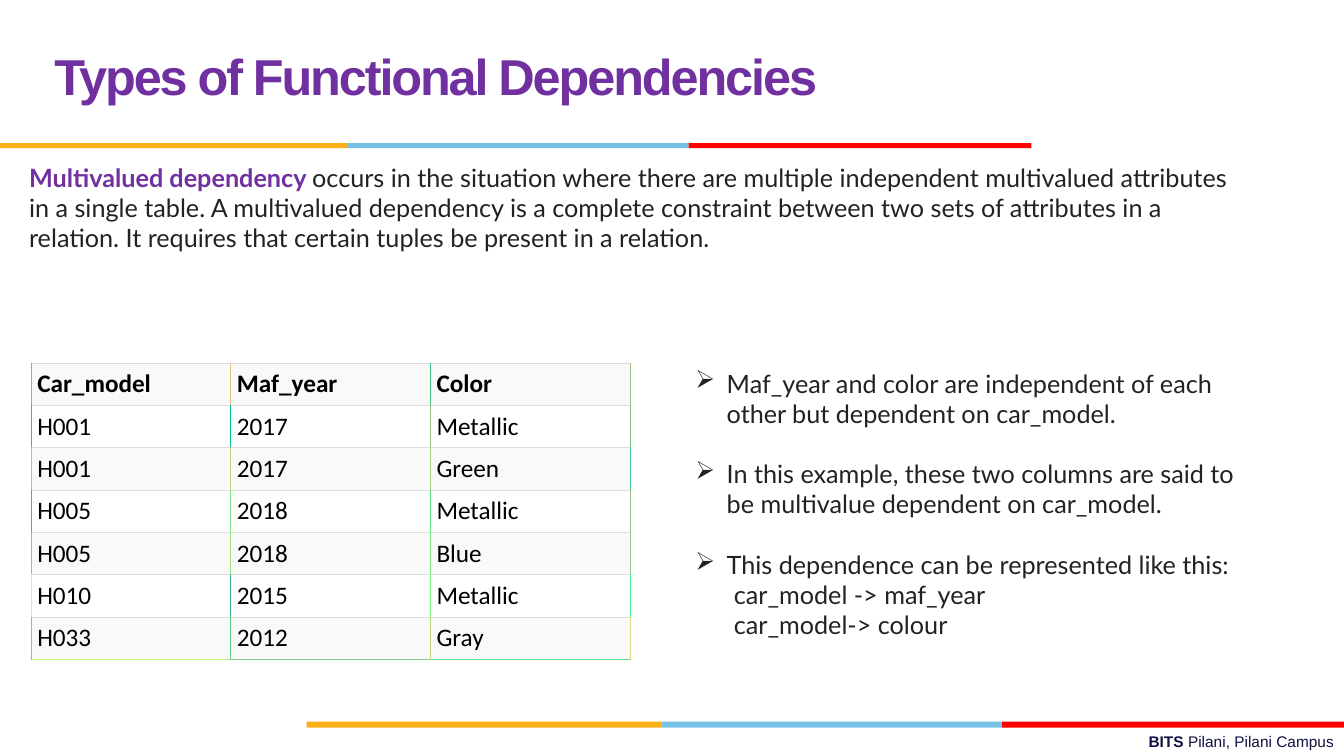
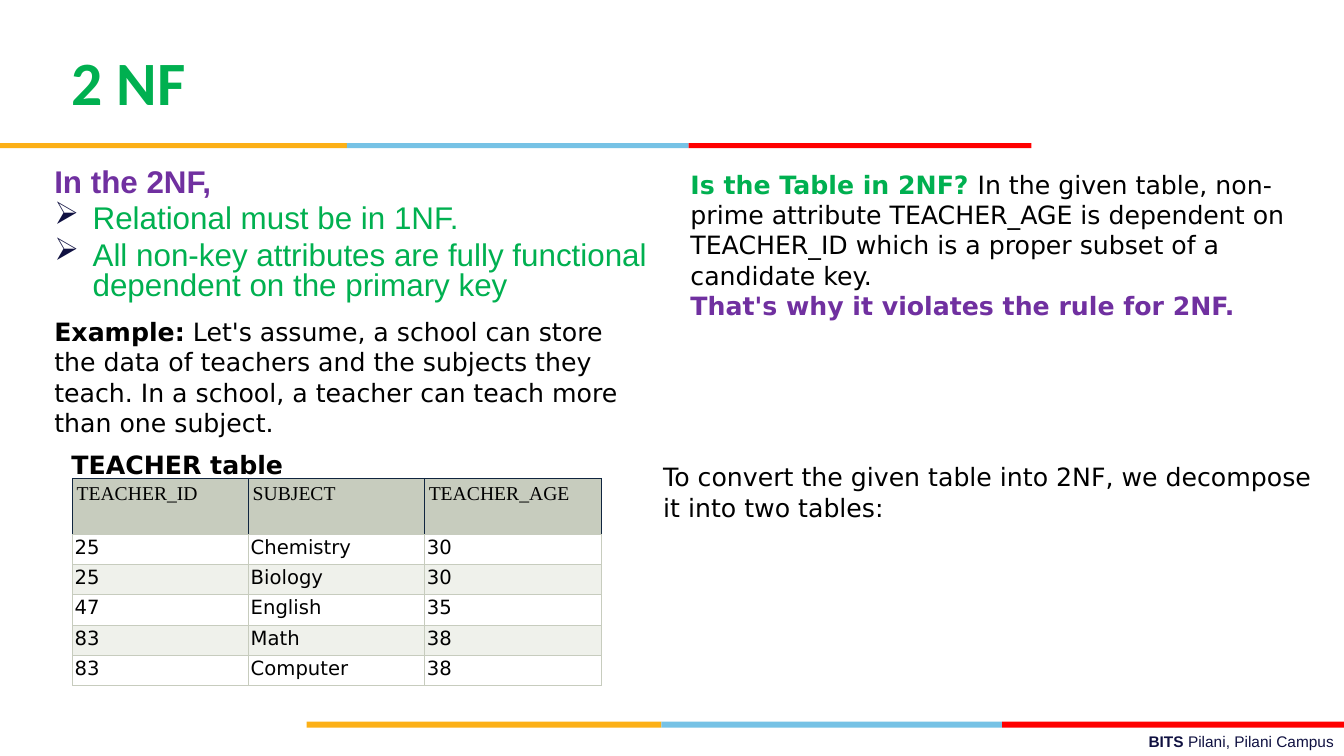
from lxml import etree
from pptx import Presentation
from pptx import util as u
from pptx.dml.color import RGBColor
from pptx.enum import shapes, text
from pptx.oxml import ns

COLORS = {
    "gold": "FCB017", "sky": "76C2E5", "red": "FF0000", "navy": "101141",
    "purple": "7030A0", "green": "00B050", "black": "000000", "ink": "222222",
    "white": "FFFFFF", "pale": "F9F9F9", "rule": "DDDDDD",
    "sage": "C7CCBE", "mist": "EFF1EB", "edge": "10253F",
}
BANDS = ("gold", "sky", "red")

CARS = [
    ("Car_model", "Maf_year", "Color"),
    ("H001", "2017", "Metallic"),
    ("H001", "2017", "Green"),
    ("H005", "2018", "Metallic"),
    ("H005", "2018", "Blue"),
    ("H010", "2015", "Metallic"),
    ("H033", "2012", "Gray"),
]
CAR_VERTICALS = [
    ("80BE86", "E0C486", "40C886", "A0C086"),
    ("20CA86", "00C786", "A0C786", "80C086"),
    ("A0D186", "C0D286", "A0D886", "40C286"),
    ("00D886", "80E586", "60E486", "A0C086"),
    ("40EE86", "A0E986", "80EC86", "A0C786"),
    ("E0F286", "40B386", "80FB86", "40FE86"),
    ("20FE86", "60CE86", "C0D886", "E0D986"),
]
CAR_BOTTOMS = ("C0F986", "80CA86", "60DD86")

TEACHERS = [
    ("TEACHER_ID", "SUBJECT", "TEACHER_AGE"),
    ("25", "Chemistry", "30"),
    ("25", "Biology", "30"),
    ("47", "English", "35"),
    ("83", "Math", "38"),
    ("83", "Computer", "38"),
]


def hex_of(color):
    return COLORS.get(color, color)


def rgb(color):
    return RGBColor.from_string(hex_of(color))


def add_text(p, value, font="Lato", size=18, color="black", bold=False, tracking=None):
    r = p.add_run()
    r.text = value
    r.font.name = font
    r.font.size = u.Pt(size)
    r.font.bold = bold
    r.font.color.rgb = rgb(color)
    if tracking is not None:
        r.font._element.set("spc", str(int(tracking * 100)))
    return r


def sub(parent, tag, **attrs):
    return etree.SubElement(parent, ns.qn(tag), **attrs)


def car_look(row, col):
    sides = CAR_VERTICALS[row]
    last = row == len(CARS) - 1
    return dict(
        fill="white" if row % 2 else "pale",
        inset=0.06,
        fmt=dict(font="Calibri", bold=row == 0),
        borders=dict(
            L=(sides[col], 1),
            R=(sides[col + 1], 1),
            T=("rule", 0.5),
            B=(CAR_BOTTOMS[col], 1) if last else ("rule", 0.5),
        ),
    )


def teacher_look(row, col):
    header = row == 0
    borders = {side: ("edge" if header else "sage", 0.5) for side in "LRT"}
    if row == 1:
        borders["T"] = ("sage", 0.5)
    return dict(
        fill="sage" if header else "white" if row % 2 else "mist",
        inset=0.04 if header else 0.02,
        fmt=dict(font="Times New Roman" if header else "DejaVu Sans", size=14),
        borders=dict(borders, B=("sage", 0.5)),
    )


class Deck:
    def __init__(self):
        self.prs = Presentation()
        self.prs.slide_width = u.Inches(13.33)
        self.prs.slide_height = u.Inches(7.5)
        self.s = None

    def slide(self):
        self.s = self.prs.slides.add_slide(self.prs.slide_layouts[6])
        self.text((4.78, 7.21, 8.55, 0.29), [
            dict(align=text.PP_ALIGN.RIGHT, runs=[
                ("BITS ", dict(font="Arial", size=11, color="navy", bold=True)),
                ("Pilani, Pilani Campus", dict(font="Arial", size=11, color="navy")),
            ]),
        ])
        self.bands(1.42, 0.05, (0, 3.44, 6.83, 10.23))
        self.bands(7.16, 0.06, (3.04, 6.56, 9.94, 13.33))

    def bands(self, top, height, stops):
        for color, left, right in zip(BANDS, stops, stops[1:]):
            sp = self.s.shapes.add_shape(
                shapes.MSO_SHAPE.RECTANGLE, u.Inches(left), u.Inches(top),
                u.Inches(right - left), u.Inches(height))
            sp.shadow.inherit = False
            sp.fill.solid()
            sp.fill.fore_color.rgb = rgb(color)
            sp.line.fill.background()

    def text(self, at, paragraphs, anchor=text.MSO_ANCHOR.TOP, wrap=True):
        sp = self.s.shapes.add_textbox(*map(u.Inches, at))
        tf = sp.text_frame
        tf.word_wrap = wrap
        tf.vertical_anchor = anchor
        for i, spec in enumerate(paragraphs):
            p = tf.add_paragraph() if i else tf.paragraphs[0]
            self.paragraph(p, **spec)

    def paragraph(self, p, runs, align=None, margin=0, hanging=0, bullet=None,
                  bullet_color=None, before=0, spacing=None):
        pPr = p._p.get_or_add_pPr()
        if margin:
            pPr.set("marL", str(u.Inches(margin)))
            pPr.set("indent", str(-u.Inches(hanging)))
        if bullet_color:
            sub(sub(pPr, "a:buClr"), "a:srgbClr", val=hex_of(bullet_color))
        if bullet:
            sub(pPr, "a:buChar", char=bullet)
        p.alignment = align
        p.space_before = u.Pt(before)
        if spacing is not None:
            p.line_spacing = spacing
        for value, fmt in runs:
            add_text(p, value, **fmt)

    def table(self, left, top, width, heights, rows, look):
        tbl = self.s.shapes.add_table(
            len(rows), len(rows[0]), u.Inches(left), u.Inches(top),
            u.Inches(width), u.Inches(sum(heights))).table
        tbl.first_row = tbl.horz_banding = False
        for row, height in zip(tbl.rows, heights):
            row.height = u.Inches(height)
        for i, values in enumerate(rows):
            for j, value in enumerate(values):
                self.cell(tbl.cell(i, j), value, **look(i, j))

    def cell(self, cell, value, fill, inset, fmt, borders):
        cell.margin_left = cell.margin_right = u.Inches(inset)
        cell.margin_top = cell.margin_bottom = u.Inches(inset)
        add_text(cell.text_frame.paragraphs[0], value, **fmt)
        tcPr = cell._tc.get_or_add_tcPr()
        for side in "LRTB":
            color, width = borders[side]
            ln = sub(tcPr, "a:ln" + side, w=str(u.Pt(width)))
            sub(sub(ln, "a:solidFill"), "a:srgbClr", val=hex_of(color))
        cell.fill.solid()
        cell.fill.fore_color.rgb = rgb(fill)


def dependencies_slide(deck):
    deck.slide()
    deck.text((0.44, 0.17, 9.22, 1.25), [
        dict(spacing=u.Pt(36), runs=[
            ("Types of Functional Dependencies",
             dict(font="Arial", size=36, color="purple", bold=True, tracking=-1.5)),
        ]),
    ], anchor=text.MSO_ANCHOR.MIDDLE)
    deck.text((0.19, 1.56, 12.11, 1.01), [
        dict(runs=[
            ("Multivalued dependency ", dict(color="purple", bold=True)),
            ("occurs in the situation where there are multiple independent multivalued "
             "attributes in a single table. A multivalued dependency is a complete "
             "constraint between two sets of attributes in a relation. It requires that "
             "certain tuples be present in a relation.", dict(color="ink")),
        ]),
    ])
    deck.table(0.31, 3.6, 5.94, [2.88 / len(CARS)] * len(CARS), CARS, car_look)
    points = (
        "Maf_year and color are independent of each other but dependent on car_model.",
        "In this example, these two columns are said to be multivalue dependent on car_model.",
        "This dependence can be represented like this:",
    )
    notation = ("car_model -> maf_year", "car_model-> colour")
    deck.text((6.8, 3.6, 5.74, 2.83), [
        dict(margin=0.31, hanging=0.31, bullet="➢", before=21.6 if i else 0,
             runs=[(point, dict(color="ink"))])
        for i, point in enumerate(points)
    ] + [
        dict(margin=0.38, runs=[(line, dict(color="ink"))]) for line in notation
    ])


def second_normal_form_slide(deck):
    body = dict(font="DejaVu Sans")
    strong = dict(body, bold=True)
    rule = dict(font="Arial", size=22.4, color="green")
    deck.slide()
    deck.text((0.44, 1.63, 6.22, 1.46), [
        dict(spacing=0.8, runs=[("In the 2NF,", dict(rule, color="purple", bold=True))]),
    ] + [
        dict(margin=0.38, hanging=0.38, bullet="➢", bullet_color="navy",
             before=4.5, spacing=0.8, runs=[(line, rule)])
        for line in (
            "Relational must be in 1NF.",
            "All non-key attributes are fully functional dependent on the primary key",
        )
    ])
    deck.table(0.72, 4.75, 5.24, [0.55] + [0.3] * 5, TEACHERS, teacher_look)
    deck.text((0.44, 3.09, 5.88, 1.31), [
        dict(runs=[
            ("Example:", strong),
            (" Let's assume, a school can store the data of teachers and the subjects "
             "they teach. In a school, a teacher can teach more than one subject.", body),
        ]),
    ])
    deck.text((0.61, 4.41, 3.28, 0.4), [dict(runs=[("TEACHER table", strong)])])
    deck.text((6.75, 1.63, 6.5, 1.6), [
        dict(runs=[
            ("Is the Table in 2NF? ", dict(strong, color="green")),
            ("In the given table, non-prime attribute TEACHER_AGE is dependent on "
             "TEACHER_ID which is a proper subset of a candidate key.", body),
        ]),
        dict(runs=[("That's why it violates the rule for 2NF.",
                    dict(strong, color="purple"))]),
    ])
    deck.text((6.48, 4.53, 6.67, 0.71), [
        dict(runs=[("To convert the given table into 2NF, we decompose it into two tables:",
                    body)]),
    ])
    deck.text((0.61, 0.39, 1.34, 0.84), [
        dict(runs=[("2 NF", dict(font="Calibri", size=44, color="green", bold=True))]),
    ], wrap=False)


def main():
    deck = Deck()
    dependencies_slide(deck)
    second_normal_form_slide(deck)
    deck.prs.save("out.pptx")


if __name__ == "__main__":
    main()
